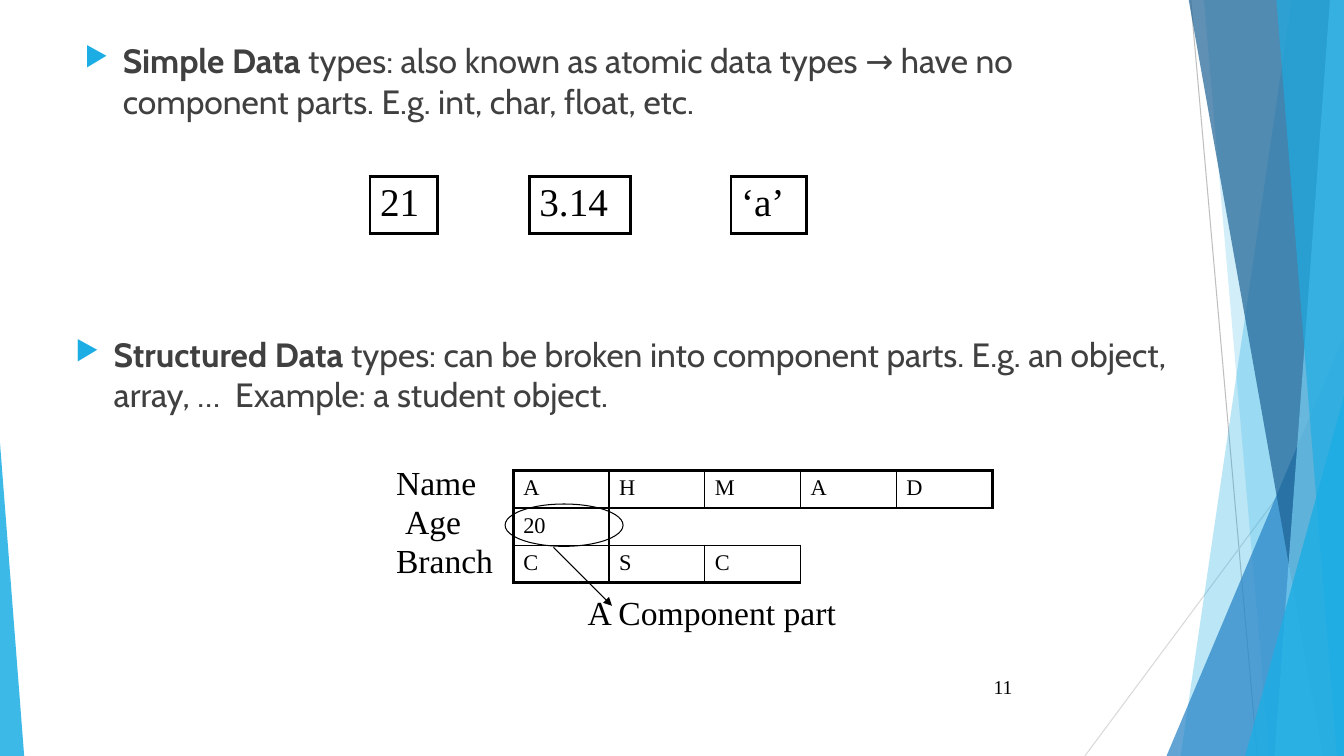
from lxml import etree
from pptx import Presentation
from pptx.dml.color import RGBColor
from pptx.enum.shapes import MSO_CONNECTOR, MSO_SHAPE
from pptx.enum.text import MSO_ANCHOR, PP_ALIGN
from pptx.oxml.ns import qn
from pptx.util import Inches, Pt

STRAIGHT = MSO_CONNECTOR.STRAIGHT
TRIANGLE, ELLIPSE = MSO_SHAPE.ISOSCELES_TRIANGLE, MSO_SHAPE.OVAL
TOP, MIDDLE = MSO_ANCHOR.TOP, MSO_ANCHOR.MIDDLE
LEFT, RIGHT = PP_ALIGN.LEFT, PP_ALIGN.RIGHT
WIDTH, HEIGHT = 13.33, 7.5
SERIF, SANS = "Times New Roman", "Cabin"
BLACK, GRAY, BLUE = "000000", "404040", "1CADE4"
THIN, THICK = 1, 2.25


def color(hex_string):
    """Turn a hex string into a colour."""
    return RGBColor.from_string(hex_string)


def inches(*lengths):
    """Convert several lengths to slide units."""
    return [Inches(length) for length in lengths]


def child(parent, tag, **attributes):
    """Append an XML element with attributes."""
    element = etree.SubElement(parent, qn(tag))
    for name, value in attributes.items():
        element.set(name, str(value))
    return element


def solid(parent, hex_string):
    """Append a solid fill to an XML element."""
    child(child(parent, "a:solidFill"), "a:srgbClr", val=hex_string)


def write(frame, *texts, size=24, font=SERIF, ink=BLACK, align=LEFT, bold_first=False):
    """Write runs into the first paragraph of a text frame and return it."""
    frame.word_wrap = True
    paragraph = frame.paragraphs[0]
    paragraph.alignment = align
    for index, text in enumerate(texts):
        run = paragraph.add_run()
        run.text = text
        run.font.size, run.font.name = Pt(size), font
        run.font.color.rgb = color(ink)
        run.font.bold = bold_first and index == 0
    return paragraph


def add_text(slide, box, *texts, anchor=TOP, **style):
    """Add a text box and return its paragraph."""
    frame = slide.shapes.add_textbox(*inches(*box)).text_frame
    frame.vertical_anchor = anchor
    return write(frame, *texts, **style)


def add_bullet(slide, box, term, definition):
    """Add a bulleted definition with a bold term."""
    paragraph = add_text(slide, box, term, definition, font=SANS, ink=GRAY, bold_first=True)
    paragraph.space_before = Pt(10)
    properties = paragraph._p.get_or_add_pPr()
    properties.set("marL", str(Inches(0.38)))
    properties.set("indent", str(Inches(-0.38)))
    child(child(properties, "a:buClr"), "a:srgbClr", val=BLUE)
    child(properties, "a:buSzPct", val=80000)
    child(properties, "a:buChar", char="▶")


def paint(shape, hex_string, opacity):
    """Give a shape a translucent fill and no outline."""
    shape.shadow.inherit = False
    shape.fill.solid()
    shape.fill.fore_color.rgb = color(hex_string)
    shape.line.fill.background()
    target = shape._element.spPr.find(qn("a:solidFill"))[0]
    child(target, "a:alpha", val=opacity * 1000)


def add_line(slide, start, end, hex_string, arrow=False):
    """Add a thin straight line, optionally with an arrowhead."""
    line = slide.shapes.add_connector(STRAIGHT, *inches(*start, *end))
    line.line.color.rgb, line.line.width = color(hex_string), Pt(0.75)
    if arrow:
        child(line.line._get_or_add_ln(), "a:tailEnd", type="triangle")
    child(line._element.spPr, "a:effectLst")


def add_band(slide, box, corners, hex_string, opacity):
    """Add a slanted band whose corners are horizontal offsets at top and bottom."""
    left, top, _, height = box
    top_left, top_right, bottom_right, bottom_left = [left + x for x in corners]
    points = [(top_left, top), (top_right, top),
              (bottom_right, top + height), (bottom_left, top + height)]
    points = [inches(*point) for point in points]
    builder = slide.shapes.build_freeform(*points[0], scale=1.0)
    builder.add_line_segments(points[1:], close=True)
    paint(builder.convert_to_shape(), hex_string, opacity)


def add_wedge(slide, box, apex, hex_string, opacity):
    """Add a triangle with its apex at a share of its width."""
    wedge = slide.shapes.add_shape(TRIANGLE, *inches(*box))
    wedge.adjustments[0] = apex
    paint(wedge, hex_string, opacity)


def add_facets(slide, box):
    """Draw the overlapping blue facets along the right and left edges."""
    left, top, width, height = box
    bottom, right = top + height, left + width

    def band(top_inset, bottom_inset, hex_string, opacity):
        corners = (width - top_inset, width, width, width - bottom_inset)
        add_band(slide, box, corners, hex_string, opacity)

    def corner(wide, tall, hex_string, opacity):
        add_wedge(slide, (right - wide, bottom - tall, wide, tall), 1, hex_string, opacity)

    add_line(slide, (right - 1.52, top), (right - 0.86, bottom), "BFBFBF")
    add_line(slide, (right, top + 4.04), (right - 2.57, bottom), "D9D9D9")
    band(0.52, 1.62, BLUE, 30)
    band(1.39, 0.74, BLUE, 20)
    corner(1.76, 4.17, "2683C6", 72)
    band(1.54, 0.21, "1D6294", 70)
    band(0.14, 0.69, "77CEEF", 70)
    band(0.67, 0.07, BLUE, 65)
    corner(0.98, 3.57, BLUE, 80)
    add_wedge(slide, (left, bottom - 3.11, 0.24, 3.11), 0, BLUE, 85)


def add_border(cell, tag, width):
    """Set one border of a cell; a width of zero hides it."""
    line = child(cell._tc.get_or_add_tcPr(), tag, w=Pt(width))
    if width:
        solid(line, BLACK)
    else:
        child(line, "a:noFill")


def add_grid(slide, box, words, size, inner=THIN):
    """Add a table whose ragged rows hold text, with borders round filled cells."""
    rows, columns = len(words), max(map(len, words))
    table = slide.shapes.add_table(rows, columns, *inches(*box)).table
    table.first_row = table.horz_banding = False

    def filled(row, column):
        return 0 <= row < rows and 0 <= column < len(words[row])

    for row in range(rows):
        for column in range(columns):
            cell = table.cell(row, column)
            here = filled(row, column)
            sides = (("a:lnL", row, column - 1, column == 0),
                     ("a:lnR", row, column + 1, column == columns - 1),
                     ("a:lnT", row - 1, column, row == 0),
                     ("a:lnB", row + 1, column, row == rows - 1))
            for tag, near_row, near_column, outer in sides:
                shown = here or filled(near_row, near_column)
                add_border(cell, tag, (THICK if outer else inner) if shown else 0)
            cell.fill.background()
            if here:
                write(cell.text_frame, words[row][column], size=size)
            else:
                cell.margin_top = cell.margin_bottom = 0


def add_simple_types(slide, box):
    """Define simple types above a row of boxed values."""
    left, top, width, height = box
    add_bullet(slide, (left, top, width, 1), "Simple Data",
               " types: also known as atomic data types → have no component parts. "
               "E.g. int, char, float, etc.")
    for value, offset, wide in (("21", 2.93, 0.67), ("3.14", 4.51, 1), ("‘a’", 6.51, 0.75)):
        add_grid(slide, (left + offset, top + height - 0.57, wide, 0.57), [[value]], 28)


def add_structured_types(slide, box):
    """Define structured types above a labelled student record."""
    left, top, width, height = box
    add_bullet(slide, (left, top, width, 1), "Structured Data",
               " types: can be broken into component parts. E.g. an object, array, …  "
               "Example: a student object.")
    record_left, record_top, step = left + 4.44, top + 1.41, 0.37
    add_grid(slide, (record_left, record_top, 4.75, 3 * step),
             [list("AHMAD"), ["20"], list("CSC")], 16)
    for index, (label, indent) in enumerate((("Name", 0), ("Age", 0.09), ("Branch", 0))):
        label_box = (left + 3.18 + indent, record_top - 0.14 + 0.39 * index, 1.33, 0.45)
        add_text(slide, label_box, label)
    ring_box = (record_left - 0.08, record_top + 0.33, 1.17, 0.42)
    ring = slide.shapes.add_shape(ELLIPSE, *inches(*ring_box))
    ring.shadow.inherit = False
    ring.fill.background()
    ring.line.color.rgb, ring.line.width = color(BLACK), Pt(0.75)
    arrow_left, arrow_top = record_left + 0.4, record_top + 0.76
    add_line(slide, (arrow_left, arrow_top), (arrow_left + 0.58, arrow_top + 0.58), BLACK, arrow=True)
    add_text(slide, (left + 5.08, top + height - 0.45, 3.12, 0.45), "A Component part")


def main():
    """Build the slide and save it."""
    presentation = Presentation()
    presentation.slide_width, presentation.slide_height = inches(WIDTH, HEIGHT)
    slide = presentation.slides.add_slide(presentation.slide_layouts[6])
    add_facets(slide, (0, 0, WIDTH, HEIGHT))
    add_simple_types(slide, (0.74, 0.35, 10.77, 1.97))
    add_structured_types(slide, (0.65, 3.26, 11.04, 3.01))
    add_text(slide, (9.39, 6.61, 0.75, 0.4), "11", size=14, align=RIGHT, anchor=MIDDLE)
    presentation.save("out.pptx")


if __name__ == "__main__":
    main()
